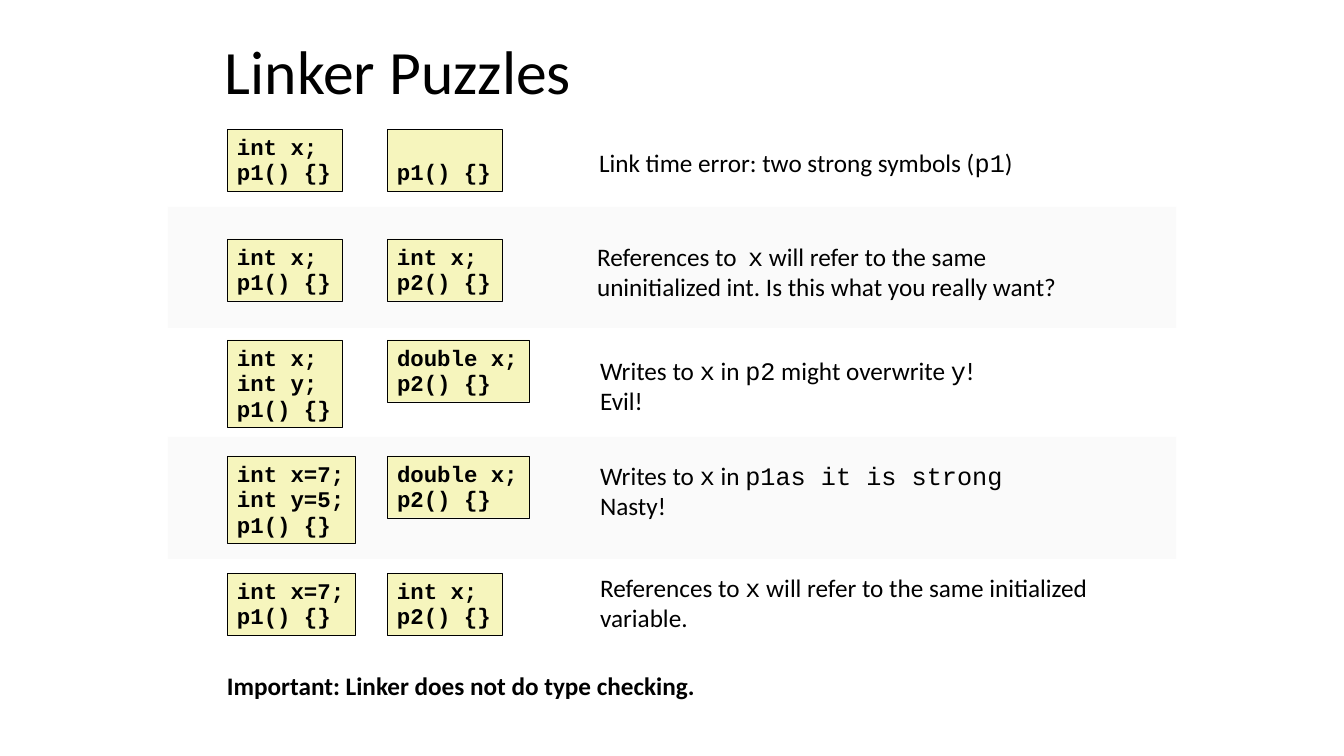
"""Build the Linker Puzzles slide: pairs of code modules with what the linker does."""
import dataclasses

import pptx
import pptx.dml.color
import pptx.enum.shapes
import pptx.enum.text
import pptx.util

EMU_PER_PIXEL = 914400 / 100.8
ANCHOR = pptx.enum.text.MSO_ANCHOR


@dataclasses.dataclass(frozen=True)
class Theme:
    ink: str = "000000"
    band: str = "FAFAFA"
    code_fill: str = "F6F5BD"
    prose_font: str = "Calibri"
    code_font: str = "Courier New"
    title_size: int = 44
    prose_size: int = 18
    code_size: int = 16
    outline: float = 0.26


THEME = Theme()
FIRST_MODULE_LEFT, SECOND_MODULE_LEFT = 227, 387
BANDS = [(207, 121), (437, 122)]

PUZZLES = [
    (129, ["int x;", "p1() {}"], ["p1() {}"],
     (589, 144, 447), ["Link time error: two strong symbols (`p1`)"]),
    (239, ["int x;", "p1() {}"], ["int x;", "p2() {}"],
     (587, 238, 485), ["References to  `x` will refer to the same ",
                       "uninitialized int. Is this what you really want?"]),
    (340, ["int x;", "int y;", "p1() {}"], ["double x;", "p2() {}"],
     (590, 352, 398), ["Writes to `x` in `p2` might overwrite `y`!", "Evil!"]),
    (456, ["int x=7;", "int y=5;", "p1() {}"], ["double x;", "p2() {}"],
     (590, 457, 425), ["Writes to `x` in `p1as it is strong`", "Nasty! "]),
    (573, ["int x=7;", "p1() {}"], ["int x;", "p2() {}"],
     (590, 569, 513), ["References to `x` will refer to the same initialized",
                       "variable."]),
]


def px(pixels):
    return pptx.util.Emu(round(pixels * EMU_PER_PIXEL))


def rgb(value):
    return pptx.dml.color.RGBColor.from_string(value)


def add_run(paragraph, text, font, size, bold):
    run = paragraph.add_run()
    run.text = text
    run.font.name = font
    run.font.size = pptx.util.Pt(size)
    run.font.bold = bold
    run.font.color.rgb = rgb(THEME.ink)


def write_lines(frame, lines, font, size, spacing, bold=False, anchor=ANCHOR.TOP):
    frame.word_wrap = False
    frame.vertical_anchor = anchor
    for index, line in enumerate(lines):
        paragraph = frame.paragraphs[0] if index == 0 else frame.add_paragraph()
        paragraph.alignment = pptx.enum.text.PP_ALIGN.LEFT
        paragraph.line_spacing = spacing
        for part, text in enumerate(line.split("`")):
            if text:
                add_run(paragraph, text, THEME.code_font if part % 2 else font,
                        size, bold)


def add_rectangle(slide, left, top, width, height, fill):
    rectangle = slide.shapes.add_shape(
        pptx.enum.shapes.MSO_SHAPE.RECTANGLE,
        px(left), px(top), px(width), px(height))
    rectangle.shadow.inherit = False
    rectangle.fill.solid()
    rectangle.fill.fore_color.rgb = rgb(fill)
    rectangle.line.fill.background()
    return rectangle


def add_module(slide, left, top, code):
    width = 21 + 13.44 * max(map(len, code))
    height = 11 + 25.4 * max(2, len(code))
    module = add_rectangle(slide, left, top, width, height, THEME.code_fill)
    module.line.color.rgb = rgb(THEME.ink)
    module.line.width = pptx.util.Pt(THEME.outline)
    write_lines(module.text_frame, code, THEME.code_font, THEME.code_size, 0.94,
                bold=True, anchor=ANCHOR.BOTTOM)


def add_prose(slide, left, top, width, lines, bold=False):
    prose = slide.shapes.add_textbox(
        px(left), px(top), px(width), px(10 + 30 * len(lines)))
    write_lines(prose.text_frame, lines, THEME.prose_font, THEME.prose_size, 0.98,
                bold=bold)


def add_title(slide, text):
    title = slide.shapes.add_textbox(px(215), px(31), px(961), px(87))
    write_lines(title.text_frame, [text], THEME.prose_font, THEME.title_size, 0.9,
                anchor=ANCHOR.MIDDLE)
    title.text_frame.word_wrap = True


def main():
    deck = pptx.Presentation()
    deck.slide_width = pptx.util.Inches(13.33)
    deck.slide_height = pptx.util.Inches(7.5)
    slide = deck.slides.add_slide(deck.slide_layouts[6])
    for top, height in BANDS:
        add_rectangle(slide, 168, top, 1008, height, THEME.band)
    add_title(slide, "Linker Puzzles")
    for top, first, second, answer_place, answer in PUZZLES:
        add_module(slide, FIRST_MODULE_LEFT, top, first)
        add_module(slide, SECOND_MODULE_LEFT, top, second)
        add_prose(slide, *answer_place, answer)
    add_prose(slide, 217, 667, 492,
              ["Important: Linker does not do type checking."], bold=True)
    deck.save("out.pptx")


main()
